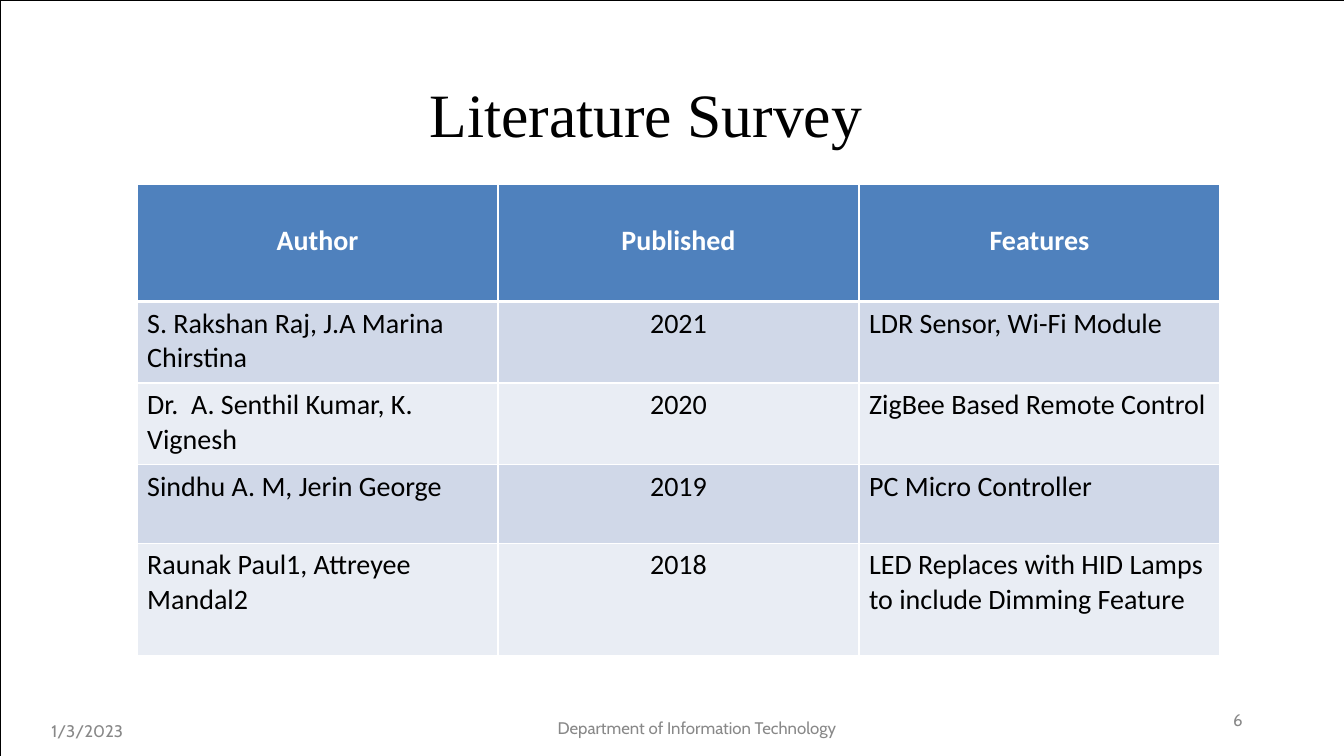
import dataclasses

import pptx
import pptx.dml.color
import pptx.enum.shapes
import pptx.enum.text
import pptx.oxml.ns
import pptx.util
from lxml import etree

PX = 9144  # EMU per px, 100 px to the inch
PAGE_SIZE = (1333, 750)
ALIGN = pptx.enum.text.PP_ALIGN
ANCHOR = pptx.enum.text.MSO_ANCHOR


@dataclasses.dataclass(frozen=True)
class Theme:
    ink: str = "000000"
    paper: str = "FFFFFF"
    muted: str = "888888"
    header: str = "4F81BD"
    bands: tuple = ("D0D8E8", "E9EDF4")
    title_font: str = "Times New Roman"
    table_font: str = "Calibri"
    footer_font: str = "Cabin"
    title_size: int = 44
    table_size: int = 20
    footer_size: int = 12
    footer_leading: float = 12.4


THEME = Theme()

HEADINGS = ("Author", "Published", "Features")
PAPERS = (
    ("S. Rakshan Raj, J.A Marina Chirstina", "2021", "LDR Sensor, Wi-Fi Module"),
    ("Dr.  A. Senthil Kumar, K. Vignesh", "2020", "ZigBee Based Remote Control"),
    ("Sindhu A. M, Jerin George", "2019", "PC Micro Controller"),
    ("Raunak Paul1, Attreyee Mandal2", "2018",
     "LED Replaces with HID Lamps to include Dimming Feature"),
)
ROW_HEIGHTS = (116, 81, 81, 78, 111)
HEADER_TEXT_TOP = 39
FOOTERS = (
    ("1/3/2023", (51, 718, 400, 17)),
    ("Department of Information Technology", (553, 715, 283, 19)),
    ("6", (1223, 707, 17, 19)),
)


def emu(box):
    return [pptx.util.Emu(length * PX) for length in box]


def rgb(colour):
    return pptx.dml.color.RGBColor.from_string(colour)


def add_span(para, text, font, size, colour, bold=False):
    span = para.add_run()
    span.text = text
    span.font.name = font
    span.font.size = pptx.util.Pt(size)
    span.font.color.rgb = rgb(colour)
    span.font.bold = bold


def prepare_frame(frame):
    """Make a wrapping, top-anchored frame without insets; return its paragraph."""
    frame.word_wrap = True
    frame.auto_size = pptx.enum.text.MSO_AUTO_SIZE.NONE
    frame.vertical_anchor = ANCHOR.TOP
    frame.margin_left = frame.margin_top = frame.margin_right = frame.margin_bottom = 0
    return frame.paragraphs[0]


def add_title(page, box):
    title = page.shapes.title
    title.left, title.top, title.width, title.height = emu(box)
    para = prepare_frame(title.text_frame)
    title.text_frame.margin_top = PX
    para.alignment = ALIGN.CENTER
    para.line_spacing = 1.15
    add_span(para, "Literature Survey", THEME.title_font, THEME.title_size, THEME.ink)


def add_page_frame(page, box):
    outline = page.shapes.add_shape(
        pptx.enum.shapes.MSO_SHAPE.RECTANGLE, *emu(box))
    outline.shadow.inherit = False
    outline.fill.background()
    outline.line.color.rgb = rgb(THEME.ink)
    outline.line.width = pptx.util.Pt(0.25)


def set_borders(cell, **widths):
    """Draw the cell's edges, given in points by side, in the paper colour."""
    properties = cell._tc.get_or_add_tcPr()
    for position, side in enumerate("LRTB"):
        edge = etree.Element(pptx.oxml.ns.qn(f"a:ln{side}"),
                             w=str(pptx.util.Pt(widths.get(side, 1))))
        fill = etree.SubElement(edge, pptx.oxml.ns.qn("a:solidFill"))
        etree.SubElement(fill, pptx.oxml.ns.qn("a:srgbClr"), val=THEME.paper)
        properties.insert(position, edge)


def add_survey_table(page, box):
    records = (HEADINGS,) + PAPERS
    table = page.shapes.add_table(len(records), len(HEADINGS), *emu(box)).table
    for column in table.columns:
        column.width = pptx.util.Emu(box[2] * PX // len(HEADINGS))
    for row_index, record in enumerate(records):
        table.rows[row_index].height = pptx.util.Emu(ROW_HEIGHTS[row_index] * PX)
        is_header = row_index == 0
        for column_index, text in enumerate(record):
            cell = table.cell(row_index, column_index)
            cell.fill.solid()
            cell.fill.fore_color.rgb = rgb(
                THEME.header if is_header else THEME.bands[(row_index - 1) % 2])
            set_borders(cell, B=3 if is_header else 1, T=3 if row_index == 1 else 1)
            if is_header:
                cell.margin_top = pptx.util.Emu(HEADER_TEXT_TOP * PX)
            para = cell.text_frame.paragraphs[0]
            centred = is_header or column_index == 1
            para.alignment = ALIGN.CENTER if centred else ALIGN.LEFT
            add_span(para, text, THEME.table_font, THEME.table_size,
                     THEME.paper if is_header else THEME.ink, is_header)


def add_footer(page, text, box):
    para = prepare_frame(page.shapes.add_textbox(*emu(box)).text_frame)
    para.line_spacing = pptx.util.Pt(THEME.footer_leading)
    add_span(para, text, THEME.footer_font, THEME.footer_size, THEME.muted)


def main():
    deck = pptx.Presentation()
    deck.slide_width, deck.slide_height = emu(PAGE_SIZE)
    page = deck.slides.add_slide(deck.slide_layouts.get_by_name("Title Only"))
    add_title(page, (347, 63, 588, 80))
    add_page_frame(page, (0, 0, *PAGE_SIZE))
    add_survey_table(page, (136, 183, 1074, sum(ROW_HEIGHTS)))
    for text, box in FOOTERS:
        add_footer(page, text, box)
    deck.save("out.pptx")


if __name__ == "__main__":
    main()
